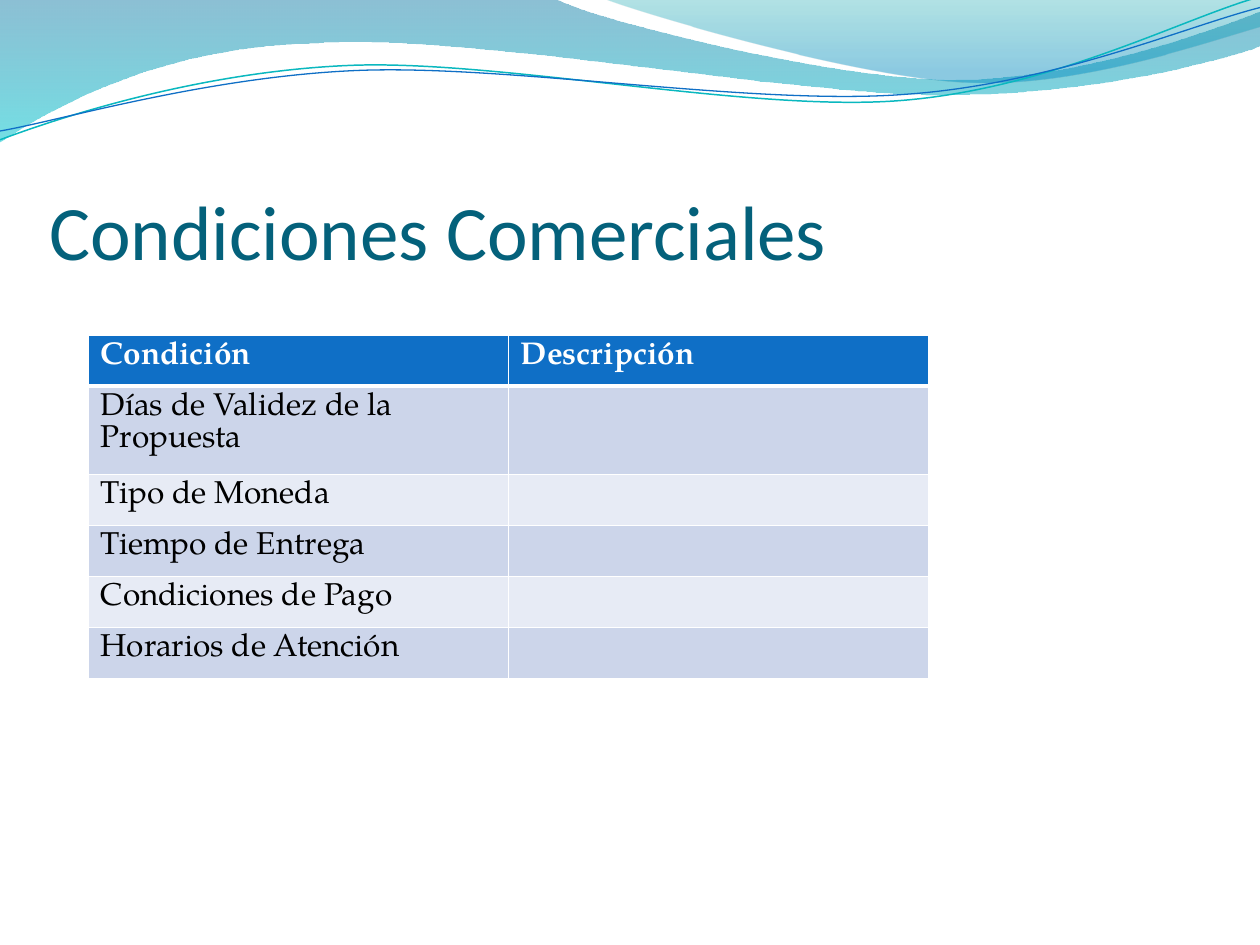
from dataclasses import dataclass

from lxml import etree
from pptx import Presentation
from pptx.dml.color import RGBColor
from pptx.enum import text
from pptx.oxml.ns import qn
from pptx.util import Inches, Pt


@dataclass(frozen=True)
class Theme:
    title_font: str = "Calibri"
    body_font: str = "TeX Gyre Pagella"
    title_size: int = 44
    body_size: int = 18
    title: str = "04617B"
    header: str = "0F6FC6"
    bands: tuple = ("CCD5EA", "E7EBF5")
    white: str = "FFFFFF"
    black: str = "000000"
    teal: str = "0AB8BF"


theme = Theme()
rgb = RGBColor.from_string
UNITS = 1000  # path units per inch


def add_curve(slide, start, segments, closed):
    """Draw a path: a 2-number segment is a line, a 6-number one a cubic Bézier."""
    points = [(round(s[i] * UNITS), round(s[i + 1] * UNITS))
              for s in [start, *segments] for i in range(0, len(s), 2)]
    builder = slide.shapes.build_freeform(*points[0], scale=Inches(1) / UNITS)
    # Closing is done by the a:close element, so no extra point is needed
    builder.add_line_segments(points[1:], close=closed)
    shape = builder.convert_to_shape()
    shape.shadow.inherit = False
    lines = iter(list(shape._element.iter(qn("a:lnTo"))))
    for segment in segments:
        first = next(lines)
        if len(segment) == 6:
            first.tag = qn("a:cubicBezTo")
            for line in (next(lines), next(lines)):
                first.append(line[0])
                line.getparent().remove(line)
    return shape


def add_border(cell, side, width):
    line = etree.SubElement(cell._tc.get_or_add_tcPr(), qn(f"a:ln{side}"), w=str(Pt(width)))
    fill = etree.SubElement(line, qn("a:solidFill"))
    etree.SubElement(fill, qn("a:srgbClr"), val=theme.white)


presentation = Presentation()
presentation.slide_width, presentation.slide_height = Inches(10), Inches(7.5)
slide = presentation.slides.add_slide(presentation.slide_layouts[6])

# Translucent waves: start, segments, gradient stops (position, colour, opacity %)
waves = [
    ((0, 0),
     [(4.4, -0.01), (4.76, 0.17, 6.64, 0.63, 7.58, 0.63), (8.53, 0.63, 9.58, 0.26, 10, 0.09),
      (10.01, 0.36), (9.83, 0.44, 8.7, 0.76, 7.46, 0.75), (6.22, 0.75, 3.82, 0.28, 2.57, 0.34),
      (1.29, 0.36, 0.46, 0.83, -0.01, 1.13), (0, 0)],
     [(0, "0074A1", 45), (1, "00C6CF", 55)]),
    ((4.79, -0.01),
     [(5.09, 0.11, 6.82, 0.62, 7.69, 0.65), (8.56, 0.69, 9.61, 0.32, 10, 0.21), (10, 0),
      (4.79, -0.01)],
     [(0, "00A1A9", 30), (0.8, "008BBF", 45)]),
]
for start, segments, stops in waves:
    wave = add_curve(slide, start, segments, closed=True)
    wave.line.fill.background()
    wave.fill.gradient()
    wave.fill.gradient_angle = 270
    for stop, (position, color, _) in zip(wave.fill.gradient_stops, stops):
        stop.position = position
        stop.color.rgb = rgb(color)
    for element, (_, _, opacity) in zip(wave._element.spPr.iter(qn("a:srgbClr")), stops):
        etree.SubElement(element, qn("a:alpha"), val=str(opacity * 1000))

# Thin lines that follow the waves: start, segments, colour, width
strands = [
    ((0, 1.11),
     [(0.48, 0.93, 1.58, 0.57, 2.77, 0.52), (3.95, 0.47, 5.93, 0.89, 7.13, 0.8),
      (8.33, 0.71, 9.38, 0.15, 9.98, -0.02)], theme.teal, 0.85),
    ((0, 1.04),
     [(0.47, 0.96, 1.64, 0.61, 2.83, 0.56), (4.03, 0.51, 5.97, 0.84, 7.17, 0.75),
      (8.36, 0.67, 9.41, 0.21, 10, 0.06)], theme.header, 0.75),
]
for start, segments, color, width in strands:
    strand = add_curve(slide, start, segments, closed=False)
    strand.fill.background()
    strand.line.color.rgb = rgb(color)
    strand.line.width = Pt(width)

# Title
title = slide.shapes.add_textbox(Inches(0.39), Inches(0.94), Inches(9), Inches(1.25))
frame = title.text_frame
frame.word_wrap = True
frame.vertical_anchor = text.MSO_ANCHOR.BOTTOM
frame.margin_left = frame.margin_right = frame.margin_bottom = 0
frame.margin_top = Inches(0.05)
paragraph = frame.paragraphs[0]
paragraph.text = "Condiciones Comerciales"
paragraph.font.name = theme.title_font
paragraph.font.size = Pt(theme.title_size)
paragraph.font.color.rgb = rgb(theme.title)

# Conditions table
rows = [
    ("Condición", "Descripción"),
    ("Días de Validez de la Propuesta", ""),
    ("Tipo de Moneda", ""),
    ("Tiempo de Entrega", ""),
    ("Condiciones de Pago", ""),
    ("Horarios de Atención", ""),
]
table = slide.shapes.add_table(len(rows), 2, Inches(0.7), Inches(2.66),
                               Inches(6.67), Inches(2.43)).table
for row_index, row in enumerate(rows):
    is_header = row_index == 0
    for column_index, words in enumerate(row):
        cell = table.cell(row_index, column_index)
        widths = {"L": 1, "R": 1, "T": 3 if row_index == 1 else 1, "B": 3 if is_header else 1}
        for side, width in widths.items():
            add_border(cell, side, width)
        cell.fill.solid()
        cell.fill.fore_color.rgb = rgb(theme.header if is_header
                                       else theme.bands[(row_index - 1) % 2])
        if words:
            # Run fonts keep the wrapped row at its proper height
            run = cell.text_frame.paragraphs[0].add_run()
            run.text = words
            run.font.name = theme.body_font
            run.font.size = Pt(theme.body_size)
            run.font.bold = is_header
            run.font.color.rgb = rgb(theme.white if is_header else theme.black)

presentation.save("out.pptx")
